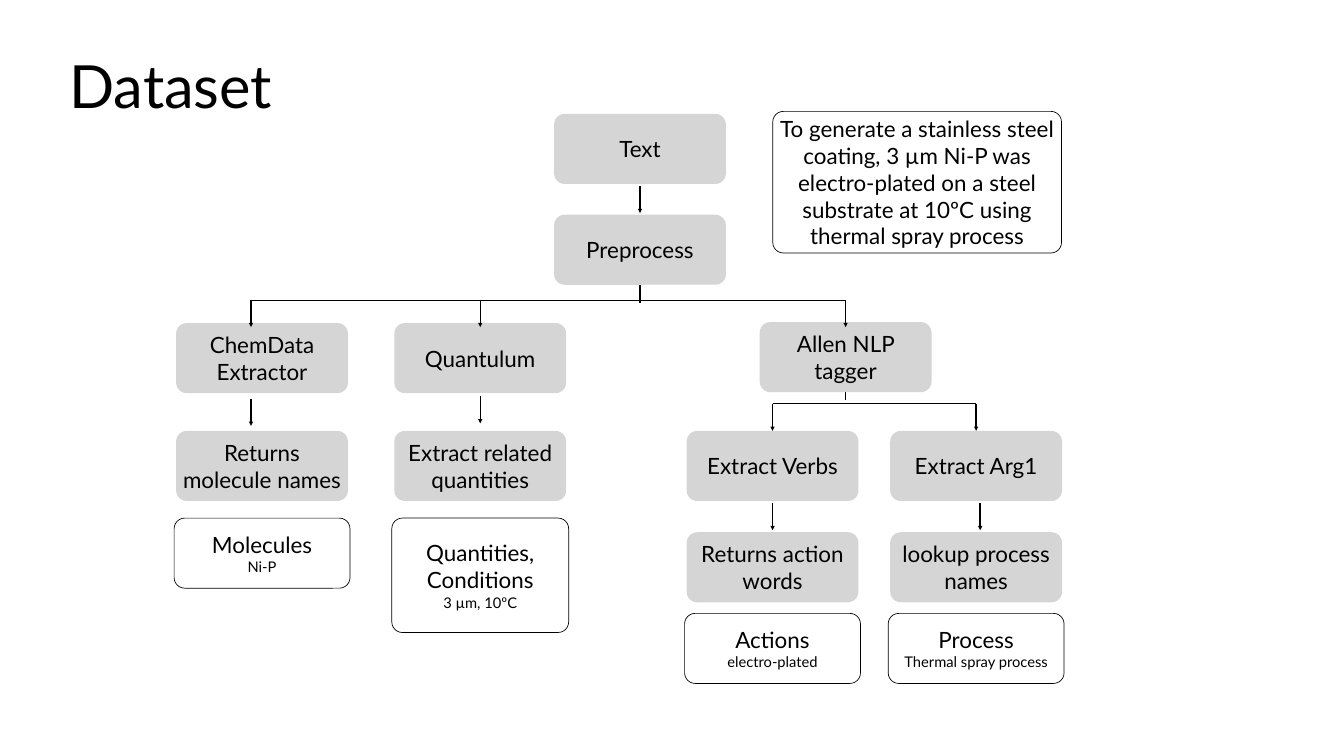
"""Builds the Dataset slide: a flow from raw text to extracted entities."""
from lxml.etree import SubElement
from pptx import Presentation
from pptx.dml.color import RGBColor
from pptx.enum.shapes import MSO_CONNECTOR as LINE, MSO_SHAPE as SHAPE
from pptx.enum.text import MSO_ANCHOR as ANCHOR, PP_ALIGN as ALIGN
from pptx.oxml.ns import qn
from pptx.util import Inches, Pt

COLORS = {"ink": "000000", "step": "D5D5D5", "result": "FFFFFF"}
FONT = "Lato"
TITLE = "Dataset"
EXAMPLE = ("To generate a stainless steel coating, 3 µm Ni-P was electro-plated "
           "on a steel substrate at 10ºC using thermal spray process")

COLUMNS = {"chem": 5.2, "quantity": 9.53, "main": 12.7, "example": 18.2,
           "tagger": 16.78, "verbs": 15.33, "arg": 19.37}
ROWS = {"text": 2.26, "preprocess": 4.26, "tools": 6.41, "tagger": 6.39, "extract": 8.55,
        "lookup": 10.56, "found": 10.28, "tagged": 12.17, "example": 2.21}
STEP_W, RESULT_W, BOX_H = 3.41, 3.49, 1.39
RADIUS, INSET, ARROW = 0.21, 0.06, 0.54

STEPS = [
    ("Text", "main", "text"),
    ("Preprocess", "main", "preprocess"),
    ("ChemData Extractor", "chem", "tools"),
    ("Quantulum", "quantity", "tools"),
    ("Allen NLP tagger", "tagger", "tagger"),
    ("Returns molecule names", "chem", "extract"),
    ("Extract related quantities", "quantity", "extract"),
    ("Extract Verbs", "verbs", "extract"),
    ("Extract Arg1", "arg", "extract"),
    ("Returns action words", "verbs", "lookup"),
    ("lookup process names", "arg", "lookup"),
]
RESULTS = [
    ("Molecules\nNi-P", "chem", "found", RESULT_W, BOX_H),
    ("Quantities, Conditions\n3 µm, 10ºC", "quantity", "found", 3.51, 2.27),
    ("Actions\nelectro-plated", "verbs", "tagged", RESULT_W, BOX_H),
    ("Process\nThermal spray process", "arg", "tagged", RESULT_W, BOX_H),
    (EXAMPLE, "example", "example", 5.73, 2.81),
]
CHEM_ARROW_X, ARG_ARROW_X = 4.98, 19.45
STUBS = [(COLUMNS["main"], 5.47), (COLUMNS["tagger"], 7.4)]
BUSES = [(CHEM_ARROW_X, COLUMNS["tagger"], 5.96), (COLUMNS["verbs"], COLUMNS["arg"], 8.01)]
ARROWS = [
    (COLUMNS["main"], 3.69),
    (CHEM_ARROW_X, 5.95), (COLUMNS["quantity"], 5.95), (COLUMNS["tagger"], 5.95),
    (CHEM_ARROW_X, 7.91), (COLUMNS["quantity"], 7.86),
    (COLUMNS["verbs"], 9.98), (ARG_ARROW_X, 9.98),
]


def color(name):
    return RGBColor.from_string(COLORS[name])


def write(frame, text, sizes, align):
    frame.word_wrap = True
    frame.margin_left = frame.margin_right = Inches(INSET)
    frame.margin_top = frame.margin_bottom = Inches(INSET)
    frame.text = text
    for paragraph, size in zip(frame.paragraphs, sizes):
        paragraph.alignment = align
        for run in paragraph.runs:
            run.font.name = FONT
            run.font.size = Pt(size)
            run.font.color.rgb = color("ink")


def add_box(slide, text, column, row, width, height, kind):
    left = COLUMNS[column] - width / 2
    box = slide.shapes.add_shape(SHAPE.ROUNDED_RECTANGLE, Inches(left), Inches(ROWS[row]),
                                 Inches(width), Inches(height))
    box.adjustments[0] = RADIUS / height
    box.shadow.inherit = False
    box.fill.solid()
    box.fill.fore_color.rgb = color(kind)
    if kind == "result":
        box.line.color.rgb = color("ink")
        box.line.width = Pt(1)
    else:
        box.line.fill.background()
    box.text_frame.vertical_anchor = ANCHOR.MIDDLE
    write(box.text_frame, text, (32, 21), ALIGN.CENTER)
    return box


def add_line(slide, x1, y1, x2, y2, arrow=False):
    line = slide.shapes.add_connector(LINE.STRAIGHT, *map(Inches, (x1, y1, x2, y2)))
    line.line.color.rgb = color("ink")
    line.line.width = Pt(2)
    if arrow:
        SubElement(line.line._get_or_add_ln(), qn("a:tailEnd"), type="triangle")
    SubElement(line._element.spPr, qn("a:effectLst"))
    return line


def main():
    deck = Presentation()
    deck.slide_width, deck.slide_height = Inches(26.67), Inches(15)
    slide = deck.slides.add_slide(deck.slide_layouts[6])

    title = slide.shapes.add_textbox(*map(Inches, (1.32, 1.18, 24.03, 1.57))).text_frame
    write(title, TITLE, (85,), ALIGN.LEFT)
    title.paragraphs[0].line_spacing = 0.8

    for x, y in STUBS:
        add_line(slide, x, y, x, y + ARROW)
    steps = {(column, row): add_box(slide, text, column, row, STEP_W, BOX_H, "step")
             for text, column, row in STEPS}
    for text, column, row, width, height in RESULTS:
        add_box(slide, text, column, row, width, height, "result")

    for x1, x2, y in BUSES:
        add_line(slide, x1, y, x2, y)
    for x, y in ARROWS:
        add_line(slide, x, y, x, y + ARROW, arrow=True)
    for column in ("verbs", "arg"):
        x, top = COLUMNS[column], ROWS["extract"]
        branch = add_line(slide, x, top - ARROW, x, top, arrow=True)
        branch.end_connect(steps[column, "extract"], 0)

    deck.save("out.pptx")


if __name__ == "__main__":
    main()
